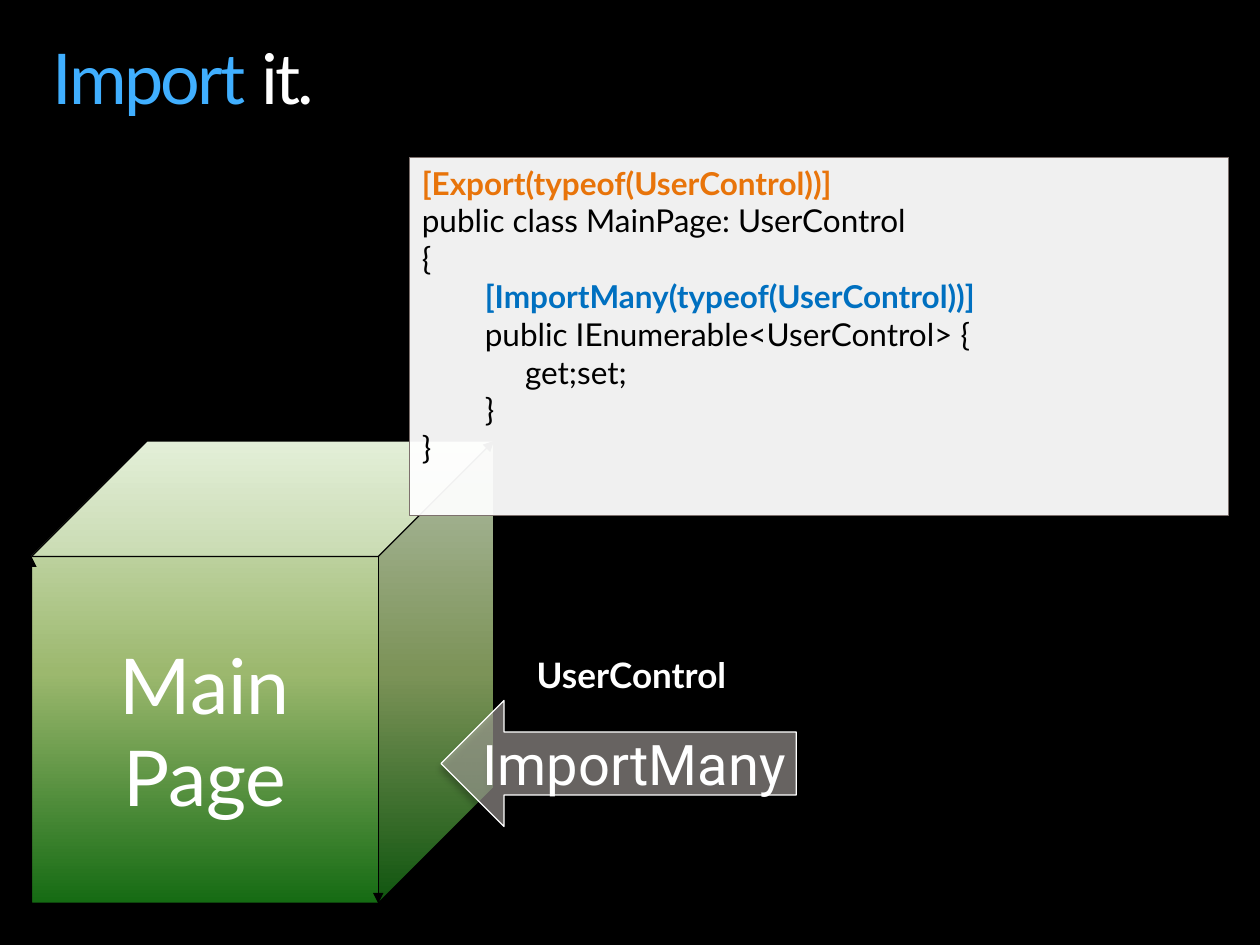
from lxml import etree
from pptx import Presentation
from pptx.dml.color import RGBColor
from pptx.enum.shapes import MSO_SHAPE
from pptx.enum.text import MSO_ANCHOR, MSO_AUTO_SIZE, PP_ALIGN
from pptx.oxml import parse_xml
from pptx.oxml.ns import qn
from pptx.util import Inches, Pt

CUBE, RECT, ARROW = MSO_SHAPE.CUBE, MSO_SHAPE.RECTANGLE, MSO_SHAPE.LEFT_ARROW
TOP, MIDDLE = MSO_ANCHOR.TOP, MSO_ANCHOR.MIDDLE
LEFT, CENTER = PP_ALIGN.LEFT, PP_ALIGN.CENTER
GROW, FIXED = MSO_AUTO_SIZE.SHAPE_TO_FIT_TEXT, MSO_AUTO_SIZE.NONE
NS = 'xmlns:a="http://schemas.openxmlformats.org/drawingml/2006/main"'
THEME = {
    "font": "Lato", "arrow_font": "Roboto",
    "title": 40, "cube": 44, "code": 18, "arrow": 32, "label": 20,
    "back": "000000", "white": "FFFFFF", "accent": "40AFFF",
    "export": "E8740A", "import": "0070C0", "code_line": "7D706D",
    "arrow_fill": "B8B2AE",
    "cube_stops": [(0, "DDEBCF"), (50, "9CB86E"), (100, "156B13")],
}


def rgb(name):
    return RGBColor.from_string(THEME[name])


def write(s, lines, size, font="font", align=LEFT, anchor=TOP, wrap=True, fit=FIXED, inset=None):
    tf = s.text_frame
    tf.word_wrap, tf.auto_size, tf.vertical_anchor = wrap, fit, anchor
    if inset is not None:
        tf.margin_left = tf.margin_top = tf.margin_right = tf.margin_bottom = inset
    for i, runs in enumerate(lines):
        p = tf.paragraphs[0] if i == 0 else tf.add_paragraph()
        p.alignment = align
        for text, color, bold in runs:
            r = p.add_run()
            r.text = text
            r.font.name, r.font.size, r.font.bold = THEME[font], Pt(THEME[size]), bold
            r.font.color.rgb = rgb(color)
    return tf


prs = Presentation()
prs.slide_width, prs.slide_height = Inches(10), Inches(7.5)
slide = prs.slides.add_slide(prs.slide_layouts[5])
slide.background.fill.solid()
slide.background.fill.fore_color.rgb = rgb("back")

title = slide.shapes.title
title.left, title.top, title.width, title.height = map(Inches, (0.42, 0.35, 9.17, 0.61))
tf = write(title, [[("Import", "accent", False), (" it.", "white", False)]], "title", fit=GROW, inset=0)
tf.paragraphs[0].line_spacing = 0.9
for r in tf.paragraphs[0].runs:
    r.font._element.set("spc", "-150")

boxes = {}
for name, kind, place, line in (
    ("cube", CUBE, (0.25, 3.5, 3.67, 3.67), "back"),
    ("code", RECT, (3.25, 1.25, 6.5, 2.84), "code_line"),
    ("arrow", ARROW, (3.5, 5.56, 2.82, 1), "white"),
):
    s = boxes[name] = slide.shapes.add_shape(kind, *map(Inches, place))
    s.shadow.inherit = False
    s.line.color.rgb, s.line.width = rgb(line), Pt(0.75)
    if kind != RECT:
        etree.SubElement(s.line._ln, qn("a:tailEnd"), type="triangle")

stops = "".join(
    f'<a:gs pos="{pos * 1000}"><a:srgbClr val="{color}"/></a:gs>' for pos, color in THEME["cube_stops"])
geometry = boxes["cube"]._element.spPr.find(qn("a:prstGeom"))
geometry.addnext(parse_xml(
    f'<a:gradFill {NS} rotWithShape="1"><a:gsLst>{stops}</a:gsLst><a:lin ang="5400000" scaled="0"/></a:gradFill>'))

for name, color, alpha in (("code", "white", 94), ("arrow", "arrow_fill", 56)):
    fill = boxes[name].fill
    fill.solid()
    fill.fore_color.rgb = rgb(color)
    tint = boxes[name]._element.spPr.find(qn("a:solidFill"))[0]
    etree.SubElement(tint, qn("a:alpha"), val=str(alpha * 1000))

effects = boxes["arrow"]._element.spPr.find(qn("a:effectLst"))
effects.append(parse_xml(
    f'<a:outerShdw {NS} blurRad="{Pt(4)}" dist="{Pt(3)}" dir="5400000" rotWithShape="0">'
    '<a:srgbClr val="000000"><a:alpha val="43000"/></a:srgbClr></a:outerShdw>'))

write(boxes["cube"], [[(word, "white", False)] for word in ("Main", "Page")], "cube",
      align=CENTER, anchor=MIDDLE, wrap=False)
write(boxes["code"], [[line] for line in (
    ("[Export(typeof(UserControl))]", "export", True),
    ("public class MainPage: UserControl", "back", False),
    ("{", "back", False),
    ("\t[ImportMany(typeof(UserControl))]", "import", True),
    ("\tpublic IEnumerable<UserControl> {", "back", False),
    ("\t     get;set;", "back", False),
    ("\t}", "back", False),
    ("}", "back", False),
)], "code")
write(boxes["arrow"], [[("ImportMany", "white", False)]], "arrow", font="arrow_font",
      align=CENTER, anchor=MIDDLE, wrap=False)

label = slide.shapes.add_textbox(*map(Inches, (4.26, 5.19, 1.59, 0.34)))
write(label, [[("UserControl", "white", True)]], "label", fit=GROW, inset=0)

prs.save("out.pptx")
